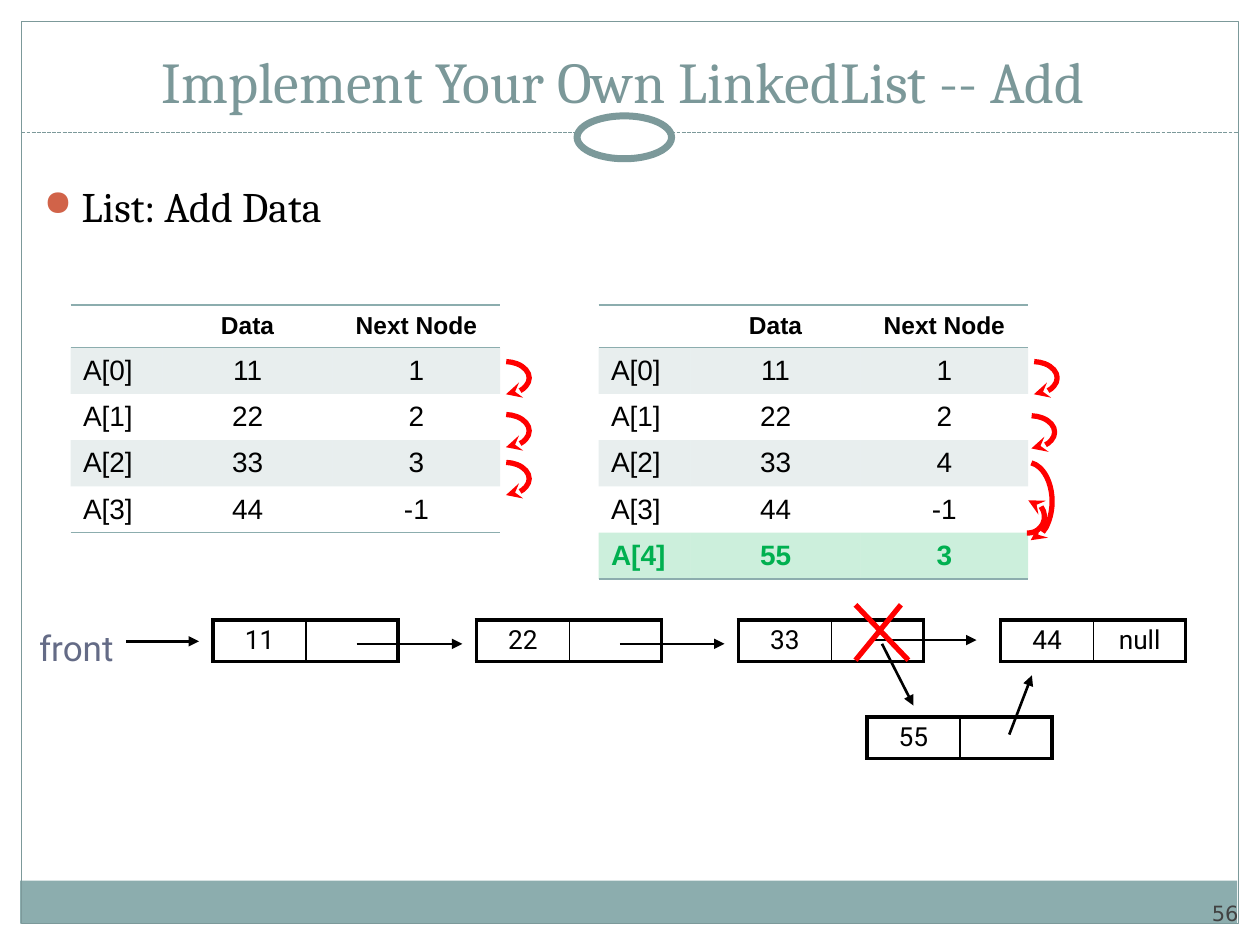
from lxml import etree
from pptx import Presentation
from pptx.dml.color import RGBColor
from pptx.enum import dml, shapes, text
from pptx.oxml.ns import qn
from pptx.util import Inches, Pt

TEAL = RGBColor(0x8C, 0xAD, 0xAE)
FRAME = RGBColor(0x7C, 0x99, 0x9A)
TITLE = RGBColor(0x7B, 0x98, 0x99)
BULLET = RGBColor(0xD1, 0x63, 0x49)
SLATE = RGBColor(0x64, 0x6B, 0x86)
GRAY = RGBColor(0x42, 0x42, 0x42)
GREEN = RGBColor(0x00, 0xB0, 0x50)
RED = RGBColor(0xFF, 0x00, 0x00)
BLACK = RGBColor(0x00, 0x00, 0x00)
WHITE = RGBColor(0xFF, 0xFF, 0xFF)
PLAIN_TABLE = "{2D5ABB26-0587-4C30-8999-92F81FD0307C}"


def draw_line(shape, color, width, tail=None):
    """Outline without shadow, with an optional arrowhead at its end."""
    shape.line.color.rgb = color
    shape.line.width = Pt(width)
    etree.SubElement(shape._element.spPr, qn("a:effectLst"))
    if tail:
        etree.SubElement(shape.line._get_or_add_ln(), qn("a:tailEnd"), type=tail)


def fill_cell(cell, words, font, size, color, borders, align=text.PP_ALIGN.CENTER,
              bold=False, tint=None, margin=0.05):
    """Text, borders {side: (colour, points)} and a 20% tint of one cell."""
    cell.margin_top = cell.margin_bottom = Inches(margin)
    cell.vertical_anchor = text.MSO_ANCHOR.MIDDLE
    paragraph = cell.text_frame.paragraphs[0]
    paragraph.alignment = align
    if words:
        paragraph.text = words
        run = paragraph.runs[0].font
        run.name, run.size, run.bold = font, Pt(size), bold
        run.color.rgb = color
    else:
        etree.SubElement(paragraph._p, qn("a:endParaRPr"), sz=str(size * 100))
    properties = cell._tc.get_or_add_tcPr()
    for side in "LRTB":
        if side in borders:
            border_color, points = borders[side]
            border = etree.SubElement(properties, qn(f"a:ln{side}"), w=str(Pt(points)))
            solid = etree.SubElement(border, qn("a:solidFill"))
            etree.SubElement(solid, qn("a:srgbClr"), val=str(border_color))
    if tint is None:
        cell.fill.background()
    else:
        cell.fill.solid()
        cell.fill.fore_color.rgb = tint
        shade = properties.find(qn("a:solidFill")).find(qn("a:srgbClr"))
        etree.SubElement(shade, qn("a:alpha"), val="20000")


prs = Presentation()
prs.slide_width, prs.slide_height = Inches(10), Inches(7.5)
slide = prs.slides.add_slide(prs.slide_layouts[5])
items = slide.shapes

# Title
title = items.title
title.left, title.top = Inches(0.33), Inches(0.25)
title.width, title.height = Inches(9.33), Inches(0.71)
title.text_frame.text = "Implement Your Own LinkedList -- Add "
title.text_frame.vertical_anchor = text.MSO_ANCHOR.BOTTOM
heading = title.text_frame.paragraphs[0]
heading.alignment = text.PP_ALIGN.CENTER
heading.runs[0].font.name = "Cambria"
heading.runs[0].font.size = Pt(33)
heading.runs[0].font.color.rgb = TITLE

# Bottom band, frame, dashed rule and ring
band = items.add_shape(shapes.MSO_SHAPE.RECTANGLE,
                       Inches(0.16), Inches(6.99), Inches(9.66), Inches(0.34))
band.shadow.inherit = False
band.fill.solid()
band.fill.fore_color.rgb = TEAL
band.line.fill.background()

frame = items.add_shape(shapes.MSO_SHAPE.RECTANGLE,
                        Inches(0.17), Inches(0.17), Inches(9.66), Inches(7.16))
frame.fill.background()
draw_line(frame, FRAME, 0.75)

rule = items.add_connector(shapes.MSO_CONNECTOR.STRAIGHT,
                           Inches(0.17), Inches(1.05), Inches(9.83), Inches(1.05))
draw_line(rule, FRAME, 0.75)
rule.line.dash_style = dml.MSO_LINE.SQUARE_DOT

ring = items.add_shape(shapes.MSO_SHAPE.OVAL,
                       Inches(4.58), Inches(0.92), Inches(0.75), Inches(0.34))
ring.fill.solid()
ring.fill.fore_color.rgb = WHITE
draw_line(ring, FRAME, 4)

# Slide number, bulleted line and the label of the list's head
for words, left, top, width, height, font, size, color, align in [
    ("56", 9, 6.95, 0.83, 0.4, "DejaVu Sans", 12, GRAY, text.PP_ALIGN.RIGHT),
    ("List: Add Data", 0.25, 1.38, 9.5, 0.62, "Cambria", 24, BLACK, text.PP_ALIGN.LEFT),
    ("front", 0.21, 4.92, 0.79, 0.44, "Roboto", 20, SLATE, text.PP_ALIGN.RIGHT),
]:
    label = items.add_textbox(Inches(left), Inches(top), Inches(width), Inches(height))
    body = label.text_frame
    body.text = words
    line = body.paragraphs[0]
    line.alignment = align
    line.runs[0].font.name = font
    line.runs[0].font.size = Pt(size)
    line.runs[0].font.color.rgb = color
    body.word_wrap = words != "front"
    if words == "56":
        body.margin_left = body.margin_right = body.margin_top = body.margin_bottom = 0
        body.vertical_anchor = text.MSO_ANCHOR.BOTTOM
    elif words == "List: Add Data":
        indent = line._p.get_or_add_pPr()
        indent.set("marL", str(Inches(0.3)))
        indent.set("indent", str(Inches(-0.3)))
        bullet_color = etree.SubElement(indent, qn("a:buClr"))
        etree.SubElement(bullet_color, qn("a:srgbClr"), val=str(BULLET))
        etree.SubElement(indent, qn("a:buSzPct"), val="85000")
        etree.SubElement(indent, qn("a:buChar"), char="●")

# Array tables before and after adding A[4]
header = ["", "Data", "Next Node"]
before = [header, ["A[0]", "11", "1"], ["A[1]", "22", "2"],
          ["A[2]", "33", "3"], ["A[3]", "44", "-1"]]
after = before[:3] + [["A[2]", "33", "4"], ["A[3]", "44", "-1"], ["A[4]", "55", "3"]]
for left, height, rows in [(0.56, 1.8, before), (4.75, 2.17, after)]:
    array = items.add_table(len(rows), 3, Inches(left), Inches(2.42),
                            Inches(3.41), Inches(height)).table
    array._tbl.tblPr.find(qn("a:tableStyleId")).text = PLAIN_TABLE
    for column, width in zip(array.columns, [0.73, 1.35, 1.33]):
        column.width = Inches(width)
    for r, row in enumerate(rows):
        array.rows[r].height = Inches(0.34 if r == 0 else (height - 0.34) / (len(rows) - 1))
        added = row[0] == "A[4]"
        sides = "TB" if r == 0 else "B" if r == len(rows) - 1 else ""
        for c, words in enumerate(row):
            fill_cell(array.cell(r, c), words, "Arial", 14 if r == 0 else 16,
                      GREEN if added else BLACK, {side: (TEAL, 1) for side in sides},
                      align=text.PP_ALIGN.CENTER if c else text.PP_ALIGN.LEFT,
                      bold=r == 0 or added,
                      tint=GREEN if added else TEAL if r % 2 else None)

# Curved arrows from each row to its next node
for left, top, width, height, end, rotation in [
    (3.81, 2.87, 0.39, 0.26, 51.22, 0),
    (3.81, 3.29, 0.39, 0.26, 51.22, 0),
    (3.81, 3.67, 0.39, 0.26, 51.22, 0),
    (8, 2.87, 0.39, 0.26, 51.22, 0),
    (7.96, 3.67, 0.39, 0.62, 51.22, 0),
    (7.98, 3.3, 0.39, 0.26, 51.22, 0),
    (8.03, 3.97, 0.26, 0.26, 59.65, 190),
]:
    hop = items.add_shape(shapes.MSO_SHAPE.ARC, Inches(left), Inches(top),
                          Inches(width), Inches(height))
    hop.adjustments[0], hop.adjustments[1] = 165.42, end
    hop.fill.background()
    draw_line(hop, RED, 3, "stealth")
    if rotation:
        hop.rotation = rotation
        hop._element.spPr.xfrm.set("flipH", "1")

# Linked nodes
thick, thin = (BLACK, 2.25), (BLACK, 1)
for left, top, values in [(1.69, 4.92, ["11", ""]), (3.78, 4.92, ["22", ""]),
                          (5.86, 4.92, ["33", ""]), (7.94, 4.92, ["44", "null"]),
                          (6.88, 5.69, ["55", ""])]:
    node = items.add_table(1, 2, Inches(left), Inches(top), Inches(1.47), Inches(0.32)).table
    node._tbl.tblPr.find(qn("a:tableStyleId")).text = PLAIN_TABLE
    node.columns[0].width, node.columns[1].width = Inches(0.74), Inches(0.73)
    for c, words in enumerate(values):
        borders = {"L": thin if c else thick, "R": thick if c else thin,
                   "T": thick, "B": thick}
        fill_cell(node.cell(0, c), words, "Roboto", 15, BLACK, borders, margin=0.04)

# Links between the nodes, then the cross over the removed link
cross = [(6.79, 4.8, 7.21, 5.24), (6.79, 5.24, 7.15, 4.8)]
links = [(2.83, 5.11, 3.67, 5.11), (4.92, 5.11, 5.75, 5.11), (7, 5.11, 7.25, 5.6),
         (1, 5.09, 1.58, 5.09), (8.01, 5.83, 8.19, 5.36), (6.92, 5.08, 7.75, 5.08)]
for ends in links:
    link = items.add_connector(shapes.MSO_CONNECTOR.STRAIGHT, *map(Inches, ends))
    draw_line(link, BLACK, 1.5, "triangle")
crossing = items.add_group_shape()
for ends in cross:
    stroke = crossing.shapes.add_connector(shapes.MSO_CONNECTOR.STRAIGHT, *map(Inches, ends))
    draw_line(stroke, RED, 3)

prs.save("out.pptx")
